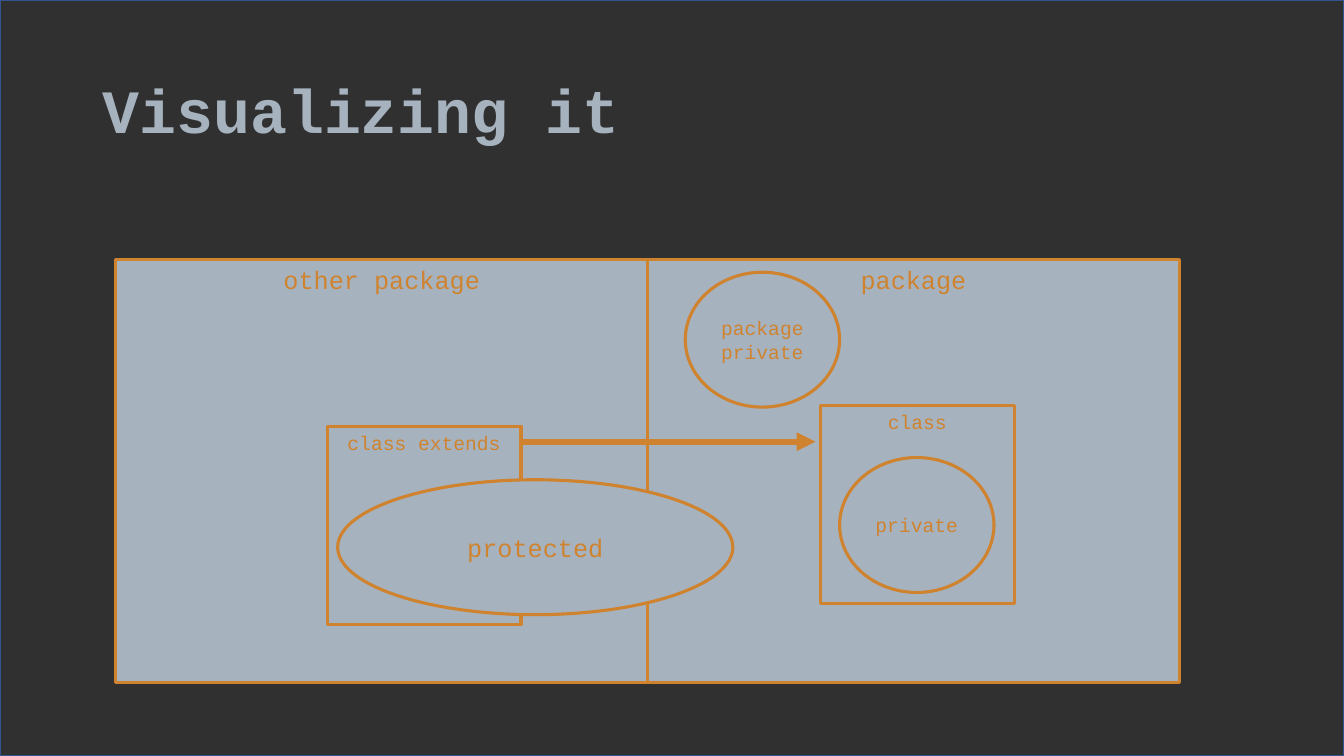
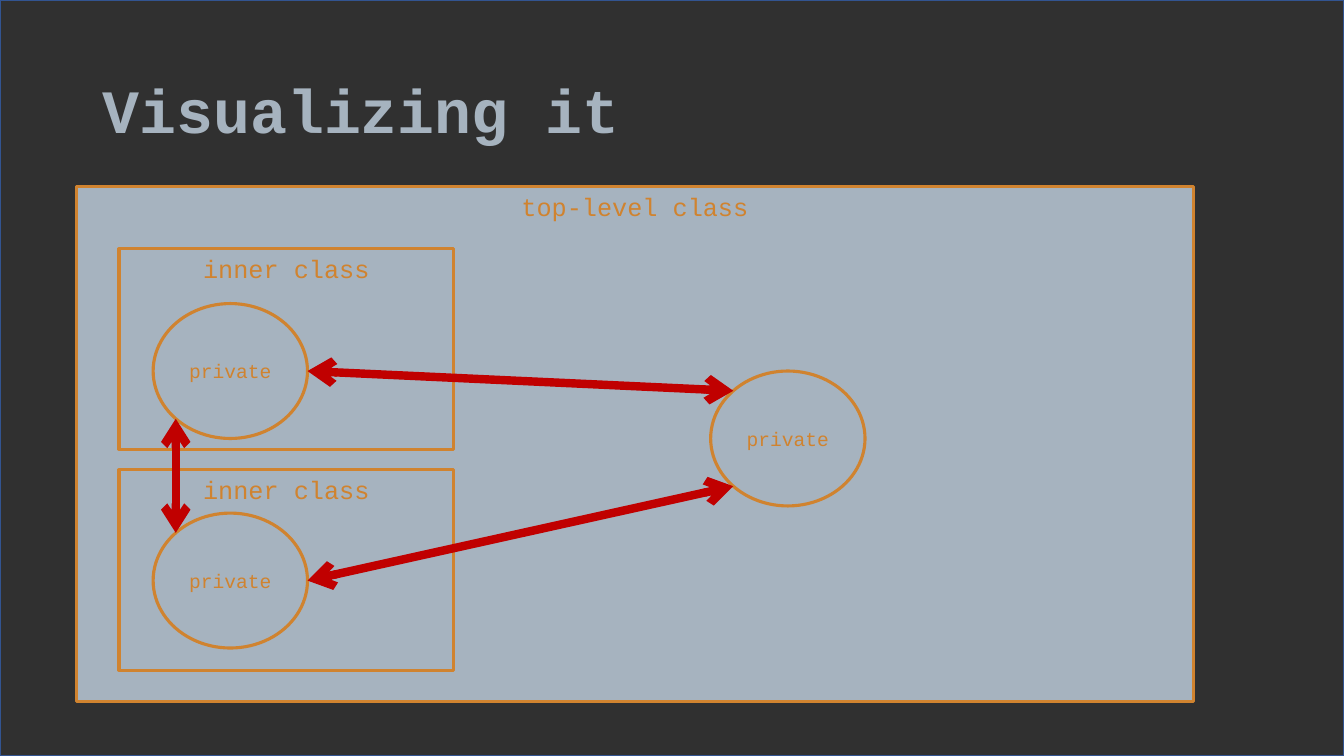
"""Build two slides that show Java access levels as nested boxes and ellipses."""
from math import cos, radians, sin

from lxml.etree import SubElement
from pptx import Presentation
from pptx.dml.color import RGBColor
from pptx.enum.shapes import MSO_CONNECTOR, MSO_SHAPE
from pptx.enum.text import MSO_ANCHOR, PP_ALIGN
from pptx.oxml.ns import qn
from pptx.util import Cm, Pt

WIDTH, HEIGHT = 33.87, 19.05
TITLE_FRAME = (2.33, 1.02, 29.21, 3.68)
FONT = "Courier New"
DARK, EDGE, STEEL, ORANGE, RED = "303030", "325491", "A6B3BF", "D0832F", "C00000"
LARGE, SMALL = 18, 14
BOX, ELLIPSE = MSO_SHAPE.RECTANGLE, MSO_SHAPE.OVAL
PACKAGE, CLASS, INNER, MEMBER = (13.4, 10.67), (4.88, 5), (8.43, 5.05), (3.89, 3.4)
PACKAGE_LEFT, PACKAGE_TOP = 2.92, 6.53

PACKAGE_SHAPES = [
    *((BOX, label, LARGE, (PACKAGE_LEFT + column * PACKAGE[0], PACKAGE_TOP), PACKAGE)
      for column, label in enumerate(["other package", "package"])),
    (BOX, "class extends", SMALL, (8.25, 10.74), CLASS),
    (BOX, "class", SMALL, (20.68, 10.21), CLASS),
    (ELLIPSE, "protected", LARGE, (8.51, 12.09), (9.96, 3.4)),
    (ELLIPSE, "package private", SMALL, (17.27, 6.86), MEMBER),
    (ELLIPSE, "private", SMALL, (21.16, 11.53), MEMBER),
]
EXTENDS_ARROW = ((13.13, 11.13), (20.55, 11.13))

UPPER, LOWER, OUTER = (3.86, 7.65), (3.86, 12.93), (17.91, 9.35)
CLASS_SHAPES = [
    (BOX, "top-level class", LARGE, (1.93, 4.7), (28.14, 12.98)),
    *((BOX, "inner class", LARGE, (3, top), INNER) for top in (6.27, 11.84)),
    *((ELLIPSE, "private", SMALL, corner, MEMBER) for corner in (LOWER, UPPER, OUTER)),
]
ACCESS_ARROWS = [
    ((UPPER, 0), (OUTER, 225)),
    ((LOWER, 0), (OUTER, 135)),
    ((LOWER, 225), (UPPER, 135)),
]


def color(value):
    return RGBColor.from_string(value)


def set_line(line, value, width):
    line.color.rgb = color(value)
    line.width = Pt(width)


def write(shape, text, size, value, frame_format, paragraph_format, bold=False):
    frame = shape.text_frame
    paragraph = frame.paragraphs[0]
    paragraph.text = text
    font_format = {"name": FONT, "size": Pt(size), "bold": bold}
    for target, formats in ((frame, frame_format), (paragraph, paragraph_format),
                            (paragraph.runs[0].font, font_format)):
        for name, setting in formats.items():
            setattr(target, name, setting)
    paragraph.runs[0].font.color.rgb = color(value)


def add_shape(slide, kind, corner, size, fill, line, line_width):
    shape = slide.shapes.add_shape(kind, *map(Cm, (*corner, *size)))
    shape.shadow.inherit = False
    shape.fill.solid()
    shape.fill.fore_color.rgb = color(fill)
    set_line(shape.line, line, line_width)
    return shape


def add_labelled(slide, kind, label, size, corner, extent):
    shape = add_shape(slide, kind, corner, extent, STEEL, ORANGE, 2.25)
    anchor = MSO_ANCHOR.MIDDLE if kind == ELLIPSE else MSO_ANCHOR.TOP
    write(shape, label, size, ORANGE, {"word_wrap": True, "vertical_anchor": anchor},
          {"alignment": PP_ALIGN.CENTER})


def add_arrow(slide, start, end, value, width, heads):
    connector = slide.shapes.add_connector(MSO_CONNECTOR.STRAIGHT, *map(Cm, (*start, *end)))
    set_line(connector.line, value, width)
    outline = connector.line._get_or_add_ln()
    for tag, kind in heads.items():
        SubElement(outline, qn(tag), type=kind)
    SubElement(connector._element.spPr, qn("a:effectLst"))


def rim_point(corner, angle):
    turn = radians(angle)
    return tuple(start + extent / 2 * (1 + ratio)
                 for start, extent, ratio in zip(corner, MEMBER, (cos(turn), sin(turn))))


def add_slide(presentation, title, shapes):
    slide = presentation.slides.add_slide(presentation.slide_layouts[6])
    add_shape(slide, BOX, (0, 0), (WIDTH, HEIGHT), DARK, EDGE, 1)
    write(slide.shapes.add_textbox(*map(Cm, TITLE_FRAME)), title, 44, STEEL,
          {"word_wrap": True, "vertical_anchor": MSO_ANCHOR.MIDDLE},
          {"line_spacing": 0.9}, bold=True)
    for shape in shapes:
        add_labelled(slide, *shape)
    return slide


presentation = Presentation()
presentation.slide_width, presentation.slide_height = Cm(WIDTH), Cm(HEIGHT)

package_slide = add_slide(presentation, "Visualizing it", PACKAGE_SHAPES)
add_arrow(package_slide, *EXTENDS_ARROW, ORANGE, 4.5, {"a:tailEnd": "triangle"})

class_slide = add_slide(presentation, "Visualizing it", CLASS_SHAPES)
for start, end in ACCESS_ARROWS:
    add_arrow(class_slide, rim_point(*start), rim_point(*end), RED, 6,
              {"a:headEnd": "arrow", "a:tailEnd": "arrow"})

presentation.save("out.pptx")
